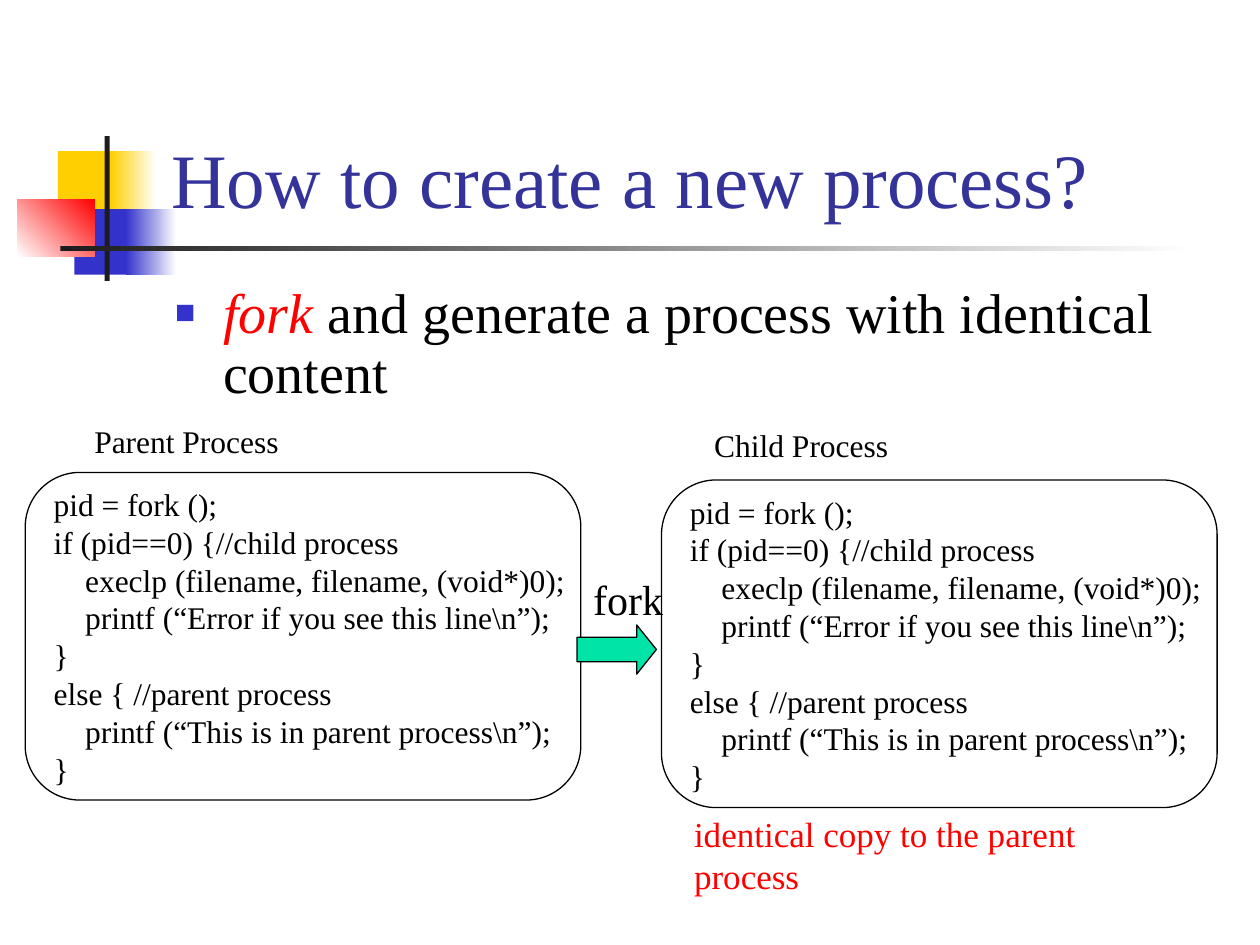
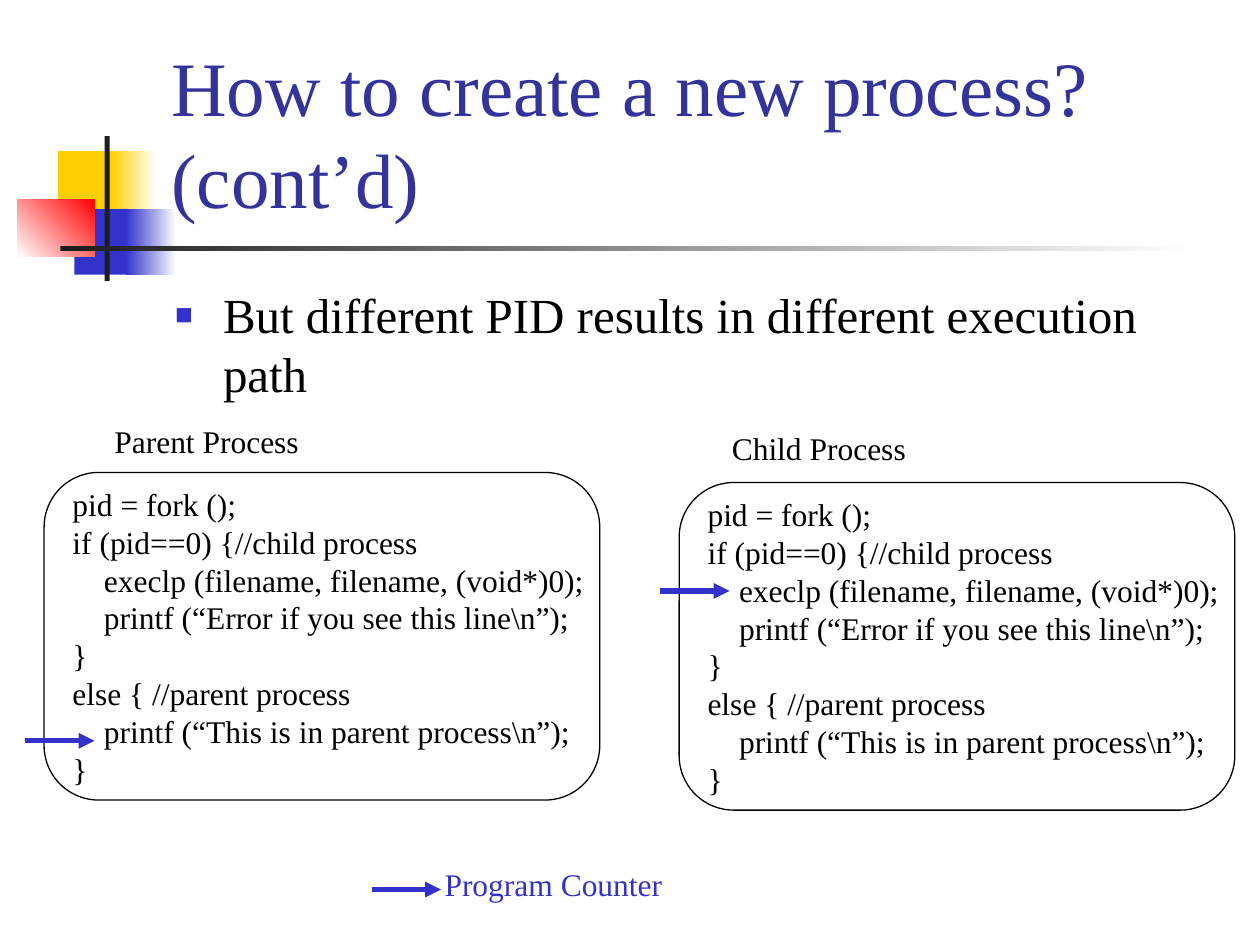
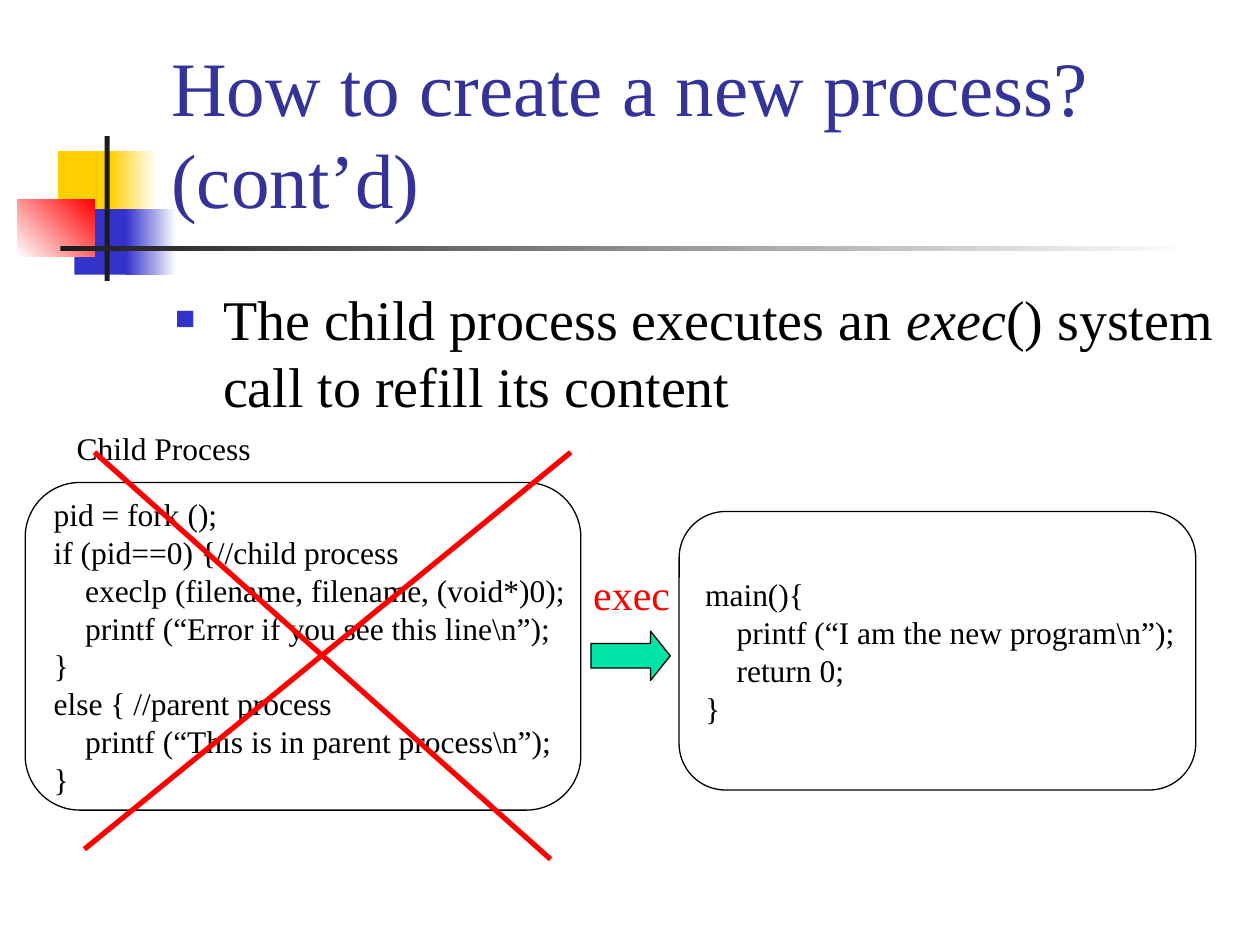
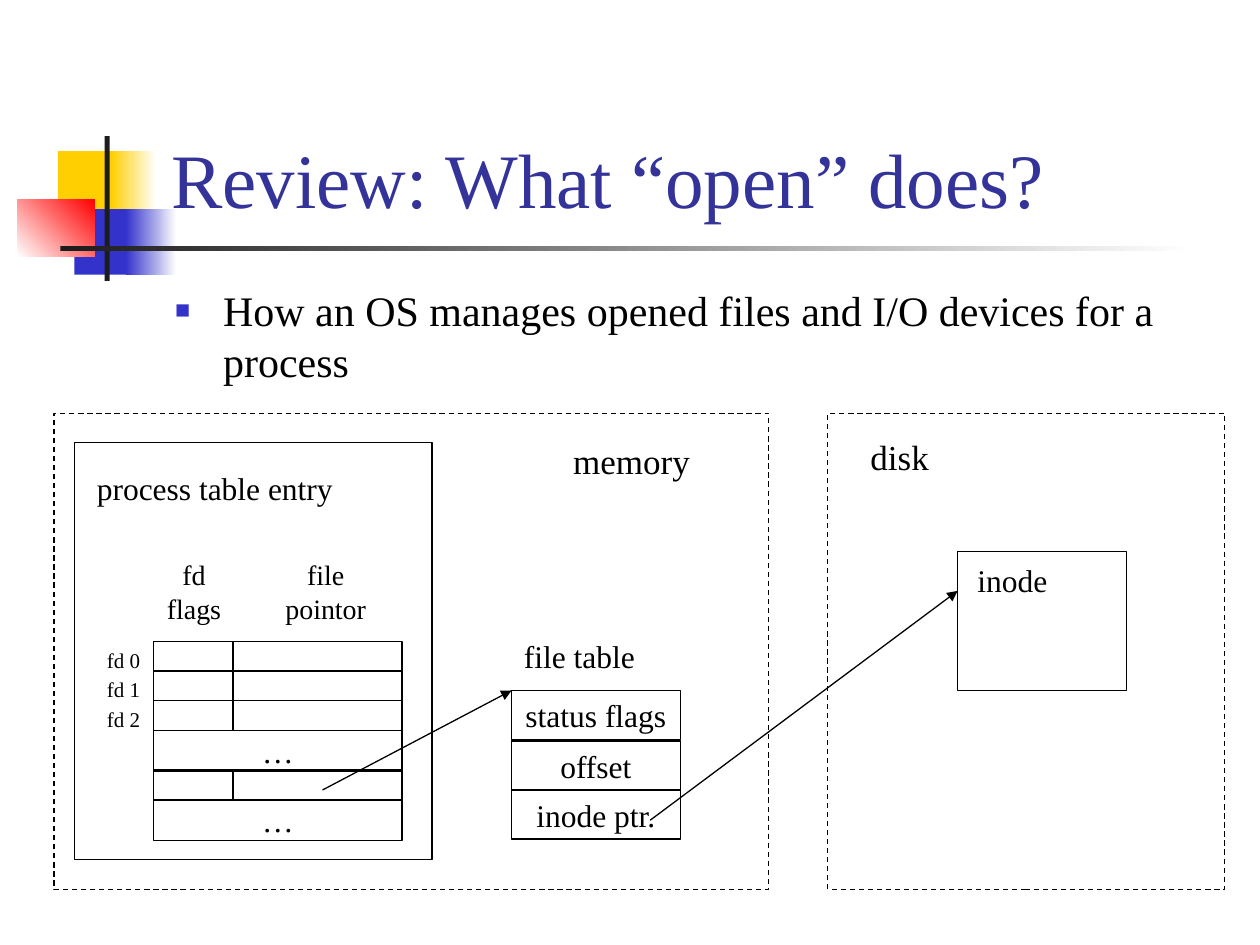
from lxml import etree
from pptx import Presentation
from pptx.dml.color import RGBColor
from pptx.enum.dml import MSO_LINE
from pptx.enum.shapes import MSO_CONNECTOR, MSO_SHAPE
from pptx.enum.text import MSO_ANCHOR, MSO_AUTO_SIZE, PP_ALIGN
from pptx.oxml.ns import qn
from pptx.util import Inches, Pt

# Enum members
RECTANGLE = MSO_SHAPE.RECTANGLE
ROUNDED = MSO_SHAPE.ROUNDED_RECTANGLE
RIGHT_ARROW = MSO_SHAPE.RIGHT_ARROW
STRAIGHT = MSO_CONNECTOR.STRAIGHT
DASH = MSO_LINE.DASH
LEFT, CENTER = PP_ALIGN.LEFT, PP_ALIGN.CENTER
TOP, MIDDLE, BOTTOM = MSO_ANCHOR.TOP, MSO_ANCHOR.MIDDLE, MSO_ANCHOR.BOTTOM
NO_FIT, GROW = MSO_AUTO_SIZE.NONE, MSO_AUTO_SIZE.SHAPE_TO_FIT_TEXT

# Theme
FONT = "Times New Roman"
BLACK = RGBColor(0x00, 0x00, 0x00)
WHITE = RGBColor(0xFF, 0xFF, 0xFF)
RED = RGBColor(0xFF, 0x00, 0x00)
YELLOW = RGBColor(0xFF, 0xCF, 0x01)
BLUE = RGBColor(0x33, 0x33, 0xCC)
TITLE_BLUE = RGBColor(0x33, 0x33, 0x99)
CHARCOAL = RGBColor(0x1C, 0x1C, 0x1C)
GREEN = RGBColor(0x00, 0xE4, 0xA8)
THIN, THICK = 0.75, 3
CODE_INDENT = 0.25

# Corner decoration: left, top, width, height, colours, gradient angle
DECORATION = [
    (0.46, 1.2, 0.48, 0.52, [YELLOW], 0),
    (0.88, 1.2, 0.36, 0.52, [YELLOW, WHITE], 0),
    (0.59, 1.66, 0.46, 0.52, [BLUE], 0),
    (1, 1.66, 0.4, 0.52, [BLUE, WHITE], 0),
    (0.14, 1.58, 0.61, 0.46, [WHITE, RED], 45),
    (0.83, 1.08, 0.04, 1.15, [CHARCOAL], 0),
    (0.48, 1.95, 9, 0.04, [CHARCOAL, WHITE], 0),
]

# Code listings: indent level, line
FORK_CODE = [
    (0, "pid = fork ();"),
    (0, "if (pid==0) {//child process"),
    (1, "execlp (filename, filename, (void*)0);"),
    (1, "printf (“Error if you see this line\\n”);"),
    (0, "}"),
    (0, "else { //parent process"),
    (1, "printf (“This is in parent process\\n”);"),
    (0, "}"),
]
NEW_PROGRAM_CODE = [
    (0, "main(){"),
    (1, "printf (“I am the new program\\n”);"),
    (1, "return 0;"),
    (0, "}"),
]


def set_attributes(target, values):
    for name, value in values.items():
        setattr(target, name, value)


def place(shape, left, top, width, height):
    set_attributes(shape, {"left": Inches(left), "top": Inches(top),
                           "width": Inches(width), "height": Inches(height)})


def add_run(paragraph, text, size, color=BLACK, italic=False):
    run = paragraph.add_run()
    run.text = text
    set_attributes(run.font, {"name": FONT, "size": Pt(size), "italic": italic})
    run.font.color.rgb = color


def write_lines(frame, lines, size, color=BLACK, align=LEFT):
    """Write (indent level, text) pairs, one paragraph each."""
    for index, (level, text) in enumerate(lines):
        paragraph = frame.paragraphs[0] if index == 0 else frame.add_paragraph()
        paragraph.alignment = align
        if level:
            paragraph._p.get_or_add_pPr().set("marL", str(Inches(level * CODE_INDENT)))
        add_run(paragraph, text, size, color)


def add_box(slide, kind, left, top, width, height, fill=None, dash=None):
    """Preset shape with a thin black outline."""
    shape = slide.shapes.add_shape(kind, Inches(left), Inches(top),
                                   Inches(width), Inches(height))
    shape.shadow.inherit = False
    if fill is None:
        shape.fill.background()
    else:
        shape.fill.solid()
        shape.fill.fore_color.rgb = fill
    shape.line.color.rgb = BLACK
    shape.line.width = Pt(THIN)
    if dash:
        shape.line.dash_style = dash
    return shape


def add_text_box(slide, left, top, width, height, lines, size=18,
                 color=BLACK, align=LEFT, wrap=False):
    box = slide.shapes.add_textbox(Inches(left), Inches(top),
                                   Inches(width), Inches(height))
    set_attributes(box.text_frame, {"word_wrap": wrap, "auto_size": GROW})
    write_lines(box.text_frame, [(0, line) for line in lines], size, color, align)


def add_filled_box(slide, kind, bounds, lines, align):
    frame = add_box(slide, kind, *bounds).text_frame
    set_attributes(frame, {"word_wrap": False, "vertical_anchor": MIDDLE})
    write_lines(frame, lines, 18, align=align)


def add_process(slide, left, top, name, label_left, label_top):
    """Rounded box with the forking code and the name of its process."""
    add_filled_box(slide, ROUNDED, (left, top, 4.41, 2.6), FORK_CODE, LEFT)
    add_text_box(slide, label_left, label_top, 1.67, 0.4, [name])


def add_call_arrow(slide, left, top, label, label_top, color):
    """Green block arrow under the name of a system call."""
    arrow = add_box(slide, RIGHT_ARROW, left, top, 0.63, 0.39, fill=GREEN)
    arrow.adjustments[1] = 0.4
    add_text_box(slide, 4.61, label_top, 0.85, 0.5, [label], 24, color)


def add_line(slide, start, end, color=BLACK, width=THIN, arrow=False):
    points = [Inches(value) for value in (*start, *end)]
    connector = slide.shapes.add_connector(STRAIGHT, *points)
    connector.line.color.rgb = color
    connector.line.width = Pt(width)
    properties = connector._element.spPr
    if arrow:
        etree.SubElement(properties.find(qn("a:ln")), qn("a:tailEnd"), type="triangle")
    etree.SubElement(properties, qn("a:effectLst"))


def add_counter_arrow(slide, left, y):
    add_line(slide, (left, y), (left + 0.55, y), BLUE, THICK, arrow=True)


def decorate_layout(layout, slide):
    """Draw the corner decoration and move it behind everything in the layout."""
    for position, (left, top, width, height, colors, angle) in enumerate(DECORATION):
        shape = add_box(slide, RECTANGLE, left, top, width, height, colors[0])
        shape.line.fill.background()
        if len(colors) > 1:
            shape.fill.gradient()
            shape.fill.gradient_angle = angle
            for stop, color in zip(shape.fill.gradient_stops, colors):
                stop.color.rgb = color
        layout.shapes.element.insert(2 + position, shape._element)


def add_bullet(paragraph):
    properties = paragraph._p.get_or_add_pPr()
    properties.set("marL", str(Inches(0.38)))
    properties.set("indent", str(Inches(-0.38)))
    color = etree.SubElement(properties, qn("a:buClr"))
    etree.SubElement(color, qn("a:srgbClr"), val=str(BLUE))
    etree.SubElement(properties, qn("a:buSzPct"), val="60000")
    etree.SubElement(properties, qn("a:buFont"), typeface=FONT)
    etree.SubElement(properties, qn("a:buChar"), char="■")


def add_slide(presentation, title, runs, size, body_height, line_spacing=1.0):
    """Slide with a title and one bullet made of (text, colour, italic) runs."""
    slide = presentation.slides.add_slide(presentation.slide_layouts[1])
    heading, body = slide.placeholders
    place(heading, 1.26, 0.23, 8.52, 1.6)
    place(body, 1.29, 2.21, 8.5, body_height)
    for placeholder, anchor in ((heading, BOTTOM), (body, TOP)):
        set_attributes(placeholder.text_frame, {
            "word_wrap": True, "auto_size": NO_FIT, "vertical_anchor": anchor})
    write_lines(heading.text_frame, [(0, title)], 44, TITLE_BLUE)
    paragraph = body.text_frame.paragraphs[0]
    set_attributes(paragraph, {"alignment": LEFT, "line_spacing": line_spacing,
                               "space_before": Pt(0.2 * size)})
    add_bullet(paragraph)
    for text, color, italic in runs:
        add_run(paragraph, text, size, color, italic)
    return slide


def build_fork_slide(presentation):
    slide = add_slide(presentation, "How to create a new process?",
                      [("fork", RED, True),
                       (" and generate a process with identical content", BLACK, False)],
                      32, 1.07, 0.9)
    decorate_layout(slide.slide_layout, slide)
    add_process(slide, 0.2, 3.75, "Parent Process", 0.65, 3.3)
    add_call_arrow(slide, 4.58, 4.96, "fork", 4.5, BLACK)
    add_process(slide, 5.25, 3.81, "Child Process", 5.57, 3.33)
    add_text_box(slide, 5.41, 6.4, 4.05, 0.43,
                 ["identical copy to the parent process"], 20, RED, wrap=True)


def build_paths_slide(presentation):
    slide = add_slide(presentation, "How to create a new process? (cont’d)",
                      [("But different PID results in different execution path", BLACK, False)],
                      28, 1.15)
    add_process(slide, 0.35, 3.75, "Parent Process", 0.81, 3.3)
    add_process(slide, 5.39, 3.83, "Child Process", 5.71, 3.36)
    # Program counters and their legend
    for left, y in ((0.2, 5.88), (5.24, 4.69), (2.95, 7.06)):
        add_counter_arrow(slide, left, y)
    add_text_box(slide, 3.43, 6.82, 1.93, 0.4, ["Program Counter"], color=BLUE)


def build_exec_slide(presentation):
    slide = add_slide(presentation, "How to create a new process? (cont’d)",
                      [("The child process executes an ", BLACK, False),
                       ("exec", BLACK, True),
                       ("() system call to refill its content", BLACK, False)],
                      32, 1.31)
    add_process(slide, 0.2, 3.83, "Child Process", 0.51, 3.36)
    add_call_arrow(slide, 4.69, 5.01, "exec", 4.46, RED)
    add_filled_box(slide, ROUNDED, (5.39, 4.06, 4.1, 2.21), NEW_PROGRAM_CODE, LEFT)
    # Cross over the replaced code
    add_line(slide, (4.53, 3.59), (0.67, 6.74), RED, THICK)
    add_line(slide, (0.75, 3.59), (4.37, 6.82), RED, THICK)


def build_open_slide(presentation):
    slide = add_slide(presentation, "Review: What “open” does?",
                      [("How an OS manages opened files and I/O devices for a process",
                        BLACK, False)], 24, 1.15)
    # Process table entry with its descriptor rows
    add_box(slide, RECTANGLE, 0.59, 3.51, 2.84, 3.31)
    add_text_box(slide, 0.67, 3.67, 2.08, 0.4, ["process table entry"])
    add_text_box(slide, 1.22, 4.38, 0.64, 0.64, ["fd", "flags"], 16, align=CENTER)
    add_text_box(slide, 2.16, 4.38, 0.85, 0.64, ["file", "pointor"], 16, align=CENTER)
    descriptor_tops = (5.09, 5.32, 5.56)
    for top in (*descriptor_tops, 6.11):
        add_box(slide, RECTANGLE, 1.22, top, 0.63, 0.24)
        add_box(slide, RECTANGLE, 1.85, top, 1.34, 0.24)
    for top in (5.8, 6.35):
        add_filled_box(slide, RECTANGLE, (1.22, top, 1.97, 0.32), [(0, "…")], CENTER)
    for number, top in enumerate(descriptor_tops):
        add_text_box(slide, 0.75, top, 0.5, 0.3, [f"fd {number}"], 12)
    # File table
    for top, field in ((5.48, "status flags"), (5.88, "offset"), (6.27, "inode ptr.")):
        add_filled_box(slide, RECTANGLE, (4.06, top, 1.34, 0.39), [(0, field)], CENTER)
    add_text_box(slide, 4.06, 5.01, 1.1, 0.4, ["file table"])
    add_line(slide, (2.56, 6.27), (4.06, 5.48), arrow=True)
    # Memory and disk regions
    add_box(slide, RECTANGLE, 0.43, 3.28, 5.67, 3.78, dash=DASH)
    add_text_box(slide, 4.45, 3.44, 1.17, 0.43, ["memory"], 20)
    add_box(slide, RECTANGLE, 7.6, 4.38, 1.34, 1.1)
    add_text_box(slide, 7.66, 4.4, 0.8, 0.4, ["inode"])
    add_box(slide, RECTANGLE, 6.57, 3.28, 3.15, 3.78, dash=DASH)
    add_text_box(slide, 6.81, 3.41, 0.7, 0.43, ["disk"], 20)
    add_line(slide, (5.16, 6.51), (7.6, 4.69), arrow=True)


def main():
    presentation = Presentation()
    presentation.slide_width = Inches(10)
    presentation.slide_height = Inches(7.5)
    build_fork_slide(presentation)
    build_paths_slide(presentation)
    build_exec_slide(presentation)
    build_open_slide(presentation)
    presentation.save("out.pptx")


main()
